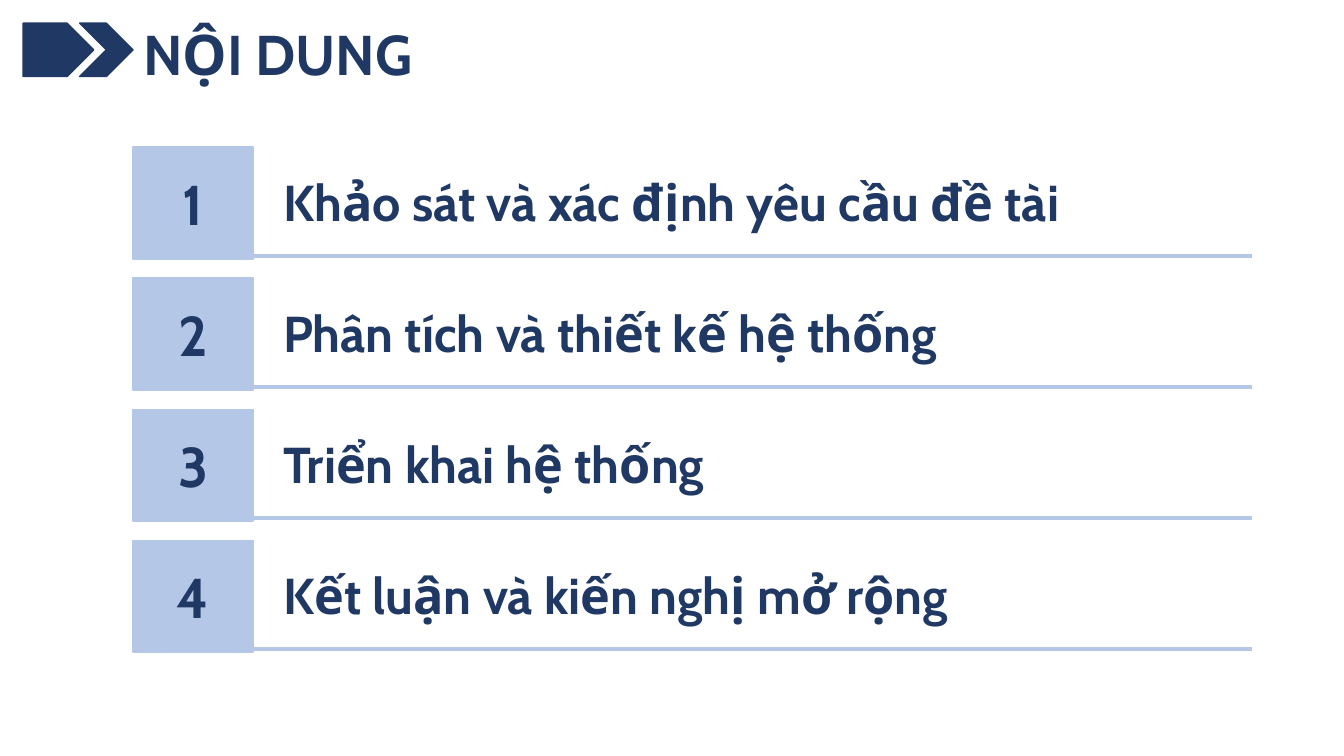
"""Build the contents slide with four numbered topics."""
from lxml.etree import SubElement
from pptx import Presentation
from pptx.dml.color import RGBColor
from pptx.enum.shapes import MSO_CONNECTOR as Link, MSO_SHAPE as Form
from pptx.enum.text import MSO_ANCHOR as Anchor, MSO_AUTO_SIZE as Fit, PP_ALIGN as Align
from pptx.oxml.ns import qn
from pptx.util import Inches, Pt

NAVY = RGBColor(0x20, 0x38, 0x64)
PALE = RGBColor(0xB4, 0xC7, 0xE7)
TOPICS = [
    "Khảo sát và xác định yêu cầu đề tài",
    "Phân tích và thiết kế hệ thống",
    "Triển khai hệ thống",
    "Kết luận và kiến nghị mở rộng",
]
TOP, STEP = 1.46, 1.3

deck = Presentation()
deck.slide_width, deck.slide_height = Inches(13.33), Inches(7.5)
shapes = deck.slides.add_slide(deck.slide_layouts[6]).shapes


def add_form(form, left, top, width, height, color):
    shape = shapes.add_shape(form, Inches(left), Inches(top), Inches(width), Inches(height))
    shape.shadow.inherit = False
    shape.fill.solid()
    shape.fill.fore_color.rgb = color
    shape.line.color.rgb = color
    shape.line.width = Pt(1)
    return shape


def add_words(shape, words, size, align, anchor):
    frame = shape.text_frame
    frame.word_wrap = True
    frame.vertical_anchor = anchor
    para = frame.paragraphs[0]
    para.alignment = align
    run = para.add_run()
    run.text = words
    run.font.name = "Cabin"
    run.font.size = Pt(size)
    run.font.bold = True
    run.font.color.rgb = NAVY


title = shapes.add_textbox(Inches(1.32), Inches(0.14), Inches(3.98), Inches(0.77))
add_words(title, "NỘI DUNG", 40, Align.LEFT, Anchor.TOP)
title.text_frame.auto_size = Fit.SHAPE_TO_FIT_TEXT
add_form(Form.CHEVRON, 0.79, 0.23, 0.53, 0.53, NAVY)
add_form(Form.PENTAGON, 0.23, 0.23, 0.7, 0.53, NAVY)

for index, topic in enumerate(TOPICS):
    top = TOP + index * STEP
    box = add_form(Form.FLOWCHART_PROCESS, 1.32, top, 1.19, 1.11, PALE)
    add_words(box, str(index + 1), 40, Align.CENTER, Anchor.MIDDLE)

    level = Inches(top + 1.08)
    rule = shapes.add_connector(Link.STRAIGHT, Inches(2.51), level, Inches(12.42), level)
    rule.line.color.rgb = PALE
    rule.line.width = Pt(3)
    SubElement(rule._element.spPr, qn("a:effectLst"))

    label = shapes.add_textbox(Inches(2.71), Inches(top + 0.19), Inches(9.51), Inches(0.71))
    add_words(label, topic, 36, Align.LEFT, Anchor.TOP)
    label.text_frame.auto_size = Fit.SHAPE_TO_FIT_TEXT

deck.save("out.pptx")
